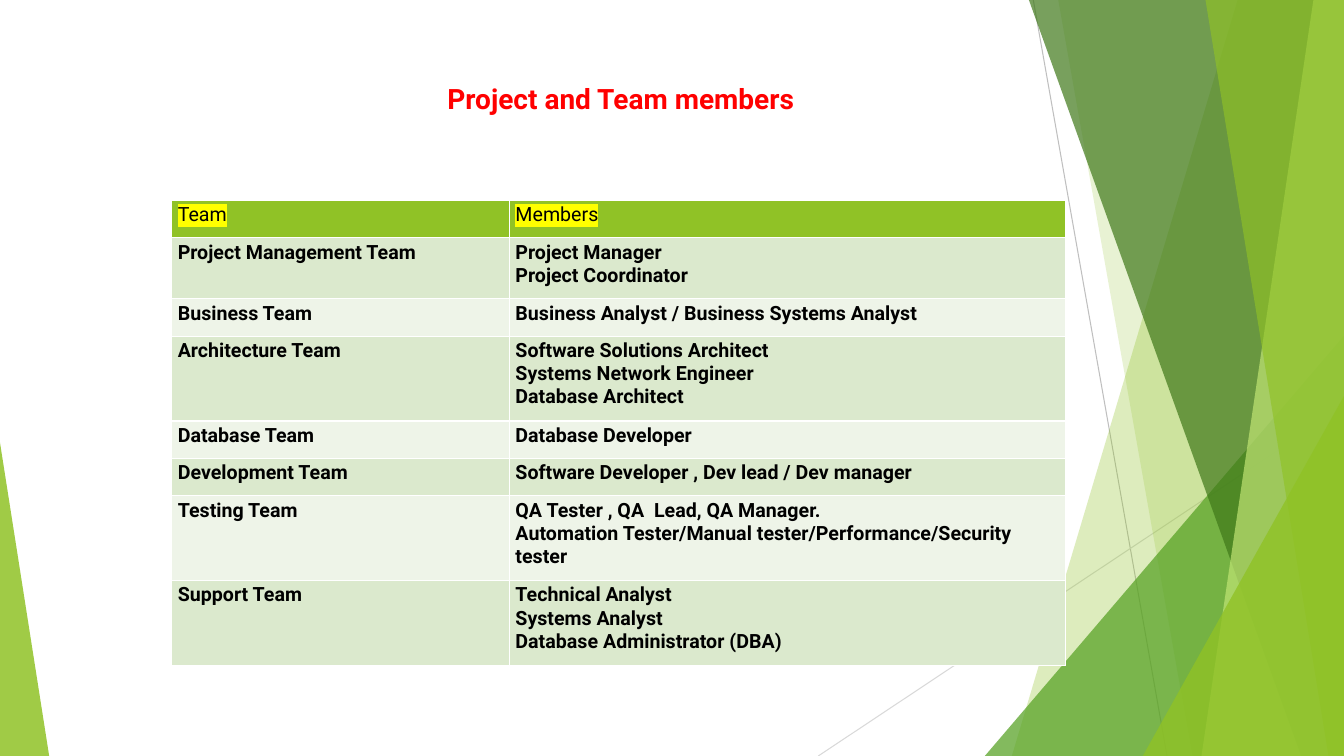
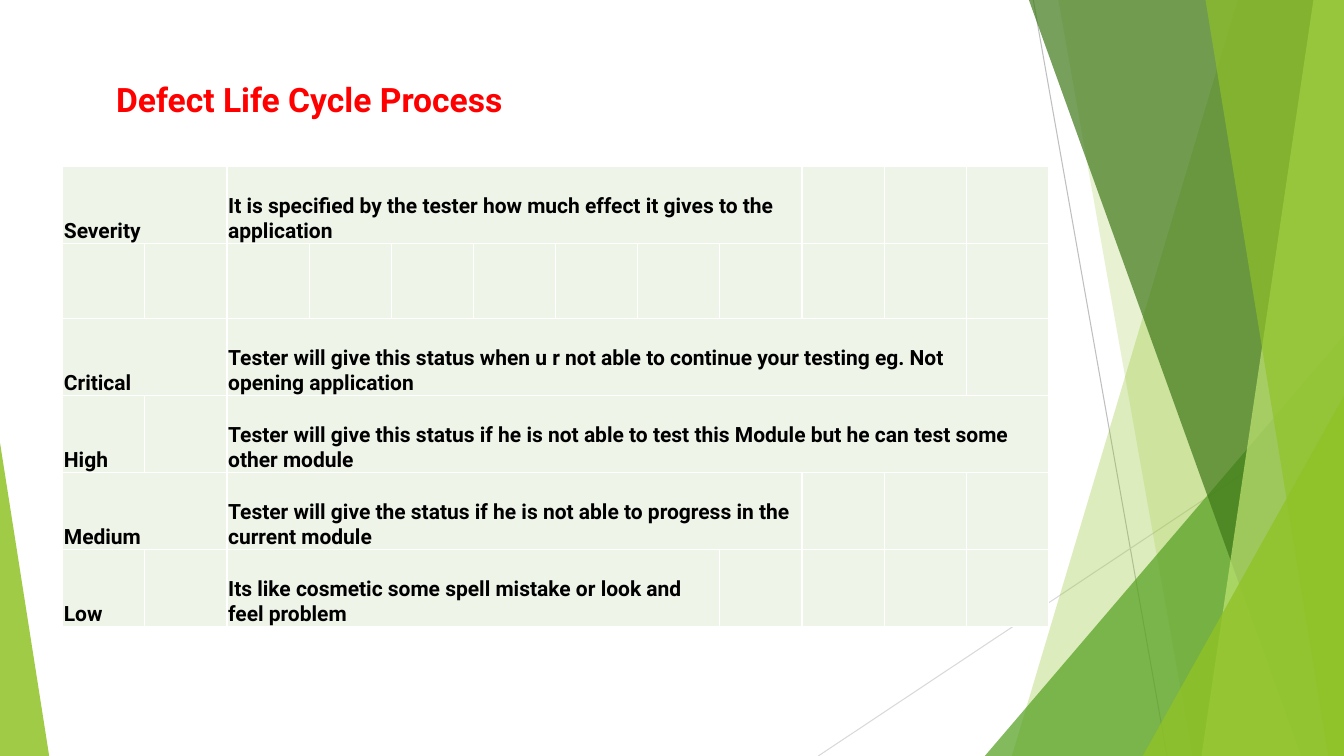
import pptx
import pptx.dml.color
import pptx.enum.shapes
import pptx.enum.text
import pptx.oxml
import pptx.oxml.ns
import pptx.util
import lxml.etree

Cm = pptx.util.Cm
Pt = pptx.util.Pt
Anchor = pptx.enum.text.MSO_ANCHOR
qn = pptx.oxml.ns.qn

WIDTH, HEIGHT = 33.87, 19.05
FONT = "Roboto"
RED, BLACK, YELLOW = "FF0000", "000000", "FFFF00"
GREEN, BAND, PALE = "90C226", "DBE9CD", "EEF4E8"

TEAMS = [
    ("Project Management Team", ["Project Manager", "Project Coordinator"], 2),
    ("Business Team", ["Business Analyst / Business Systems Analyst"], 1),
    ("Architecture Team", ["Software Solutions Architect", "Systems Network Engineer",
                           "Database Architect"], 3),
    ("Database Team", ["Database Developer"], 1),
    ("Development Team", ["Software Developer , Dev lead / Dev manager"], 1),
    ("Testing Team", ["QA Tester , QA  Lead, QA Manager.",
                      "Automation Tester/Manual tester/Performance/Security tester"], 3),
    ("Support Team", ["Technical Analyst", "Systems Analyst",
                      "Database Administrator (DBA)"], 3),
]

SEVERITIES = [
    ("Severity", 2, "It is specified by the tester how much effect it gives to the application", 7),
    None,
    ("Critical", 2, "Tester will give this status when u r not able to continue your testing eg. "
                    "Not opening application", 9),
    ("High", 1, "Tester will give this status if he is not able to test this Module but he can "
                "test some other module", 10),
    ("Medium", 2, "Tester will give the status if he is not able to progress in the current module", 7),
    ("Low", 1, "Its like cosmetic some spell mistake or look and feel problem", 6),
]


def rgb(value):
    return pptx.dml.color.RGBColor.from_string(value)


class Deck:
    def __init__(self):
        self.presentation = pptx.Presentation()
        self.presentation.slide_width = Cm(WIDTH)
        self.presentation.slide_height = Cm(HEIGHT)
        self.layout = self.presentation.slide_layouts[5]
        for placeholder in list(self.layout.placeholders):
            if placeholder.placeholder_format.idx:
                self.layout.shapes.element.remove(placeholder.element)
        self.slide = None

    def new_slide(self):
        self.slide = self.presentation.slides.add_slide(self.layout)

    def paint(self, shape, color, opacity):
        shape.shadow.inherit = False
        shape.line.fill.background()
        shape.fill.solid()
        shape.fill.fore_color.rgb = rgb(color)
        swatch = shape.element.spPr.find(".//" + qn("a:srgbClr"))
        lxml.etree.SubElement(swatch, qn("a:alpha")).set("val", str(opacity * 1000))
        return shape

    def hairline(self, start, end, color):
        line = self.slide.shapes.add_connector(
            pptx.enum.shapes.MSO_CONNECTOR.STRAIGHT, *map(Cm, start + end))
        line.line.color.rgb = rgb(color)
        line.line.width = Pt(0.75)
        lxml.etree.SubElement(line.element.spPr, qn("a:effectLst"))
        return line

    def ribbon(self, top_left, bottom_left, color, opacity):
        outline = self.slide.shapes.build_freeform(Cm(top_left), 0)
        outline.add_line_segments([(Cm(WIDTH), 0), (Cm(WIDTH), Cm(HEIGHT)),
                                   (Cm(bottom_left), Cm(HEIGHT))])
        return self.paint(outline.convert_to_shape(), color, opacity)

    def corner(self, left, width, height, apex, color, opacity):
        triangle = self.slide.shapes.add_shape(
            pptx.enum.shapes.MSO_SHAPE.ISOSCELES_TRIANGLE,
            Cm(left), Cm(HEIGHT - height), Cm(width), Cm(height))
        triangle.adjustments[0] = apex
        return self.paint(triangle, color, opacity)

    def backdrop(self):
        facets = [
            self.hairline((26.04, 0), (29.41, HEIGHT), "BFBFBF"),
            self.hairline((WIDTH, 10.24), (20.62, HEIGHT), "D9D9D9"),
            self.ribbon(31.19, 25.5, GREEN, 30),
            self.ribbon(26.67, 30.05, GREEN, 20),
            self.corner(24.82, 9.05, 10.59, 1, "54A021", 72),
            self.ribbon(25.93, 32.79, "3F7819", 70),
            self.ribbon(33.1, 30.28, "C0E474", 70),
            self.ribbon(30.38, 33.48, GREEN, 65),
            self.corner(28.8, 5.07, 9.07, 1, GREEN, 80),
            self.corner(0, 1.24, 7.9, 0, GREEN, 85),
        ]
        for facet in facets:
            self.layout.shapes.element.append(facet.element)

    def style(self, paragraph, size, color=BLACK, bold=True):
        font = paragraph.font
        font.name, font.size, font.bold = FONT, Pt(size), bold
        font.color.rgb = rgb(color)

    def title(self, text, left, top, width, height, size, anchor):
        heading = self.slide.shapes.title
        heading.left, heading.top = Cm(left), Cm(top)
        heading.width, heading.height = Cm(width), Cm(height)
        frame = heading.text_frame
        frame.text = text
        frame.word_wrap = True
        frame.auto_size = pptx.enum.text.MSO_AUTO_SIZE.NONE
        frame.vertical_anchor = anchor
        frame.paragraphs[0].alignment = pptx.enum.text.PP_ALIGN.LEFT
        self.style(frame.paragraphs[0], size, RED)

    def table(self, left, top, widths, heights, header):
        grid = self.slide.shapes.add_table(
            len(heights), len(widths), Cm(left), Cm(top),
            Cm(sum(widths)), Cm(sum(heights))).table
        grid.first_row = header
        grid.horz_banding = False
        for column, width in zip(grid.columns, widths):
            column.width = Cm(width)
        for row, height in zip(grid.rows, heights):
            row.height = Cm(height)
        return grid

    def fill(self, cell, color):
        cell.fill.solid()
        cell.fill.fore_color.rgb = rgb(color)

    def cell_text(self, cell, lines, size, margins, anchor=Anchor.TOP, bold=True):
        cell.margin_left = cell.margin_right = Cm(margins[0])
        cell.margin_top, cell.margin_bottom = Cm(margins[1]), Cm(margins[2])
        cell.vertical_anchor = anchor
        cell.text = "\n".join(lines)
        for paragraph in cell.text_frame.paragraphs:
            self.style(paragraph, size, bold=bold)

    def highlight(self, cell, color):
        run = cell.text_frame.paragraphs[0].runs[0]
        run.font.color.rgb = rgb(BLACK)
        properties = run.font.fill._xPr
        marker = lxml.etree.SubElement(properties, qn("a:highlight"))
        lxml.etree.SubElement(marker, qn("a:srgbClr")).set("val", color)


def team_slide(deck):
    deck.title("Project and Team members", 11.02, 1.55, 12.6, 1.85, 20, Anchor.MIDDLE)
    rows = [("Team", ["Members"], 1)] + TEAMS
    heights = [0.34 + 0.6 * lines for _, _, lines in rows]
    grid = deck.table(4.32, 5.05, [8.51, 14.02], heights, True)
    for index, (team, members, _) in enumerate(rows):
        is_header = index == 0
        color = GREEN if is_header else (PALE, BAND)[index % 2]
        for cell, lines in zip(grid.rows[index].cells, ([team], members)):
            deck.fill(cell, color)
            deck.cell_text(cell, lines, 14, (0.16, 0.08, 0.08), bold=not is_header)
            if is_header:
                deck.highlight(cell, YELLOW)


def severity_slide(deck):
    deck.title("Defect Life Cycle Process", 2.67, 1.73, 13.34, 1.4, 24, Anchor.BOTTOM)
    heights = [1.94 if entry else 1.88 for entry in SEVERITIES]
    grid = deck.table(1.58, 4.2, [2.07] * 12, heights, False)
    for cell in grid.iter_cells():
        deck.fill(cell, PALE)
    for index, entry in enumerate(SEVERITIES):
        if not entry:
            continue
        level, level_span, meaning, meaning_span = entry
        for start, span, text in ((0, level_span, level), (2, meaning_span, meaning)):
            cell = grid.cell(index, start)
            if span > 1:
                cell.merge(grid.cell(index, start + span - 1))
            deck.cell_text(cell, [text], 15, (0.03, 0.03, 0), Anchor.BOTTOM)


def main():
    deck = Deck()
    deck.new_slide()
    deck.backdrop()
    team_slide(deck)
    deck.new_slide()
    severity_slide(deck)
    deck.presentation.save("out.pptx")


if __name__ == "__main__":
    main()
